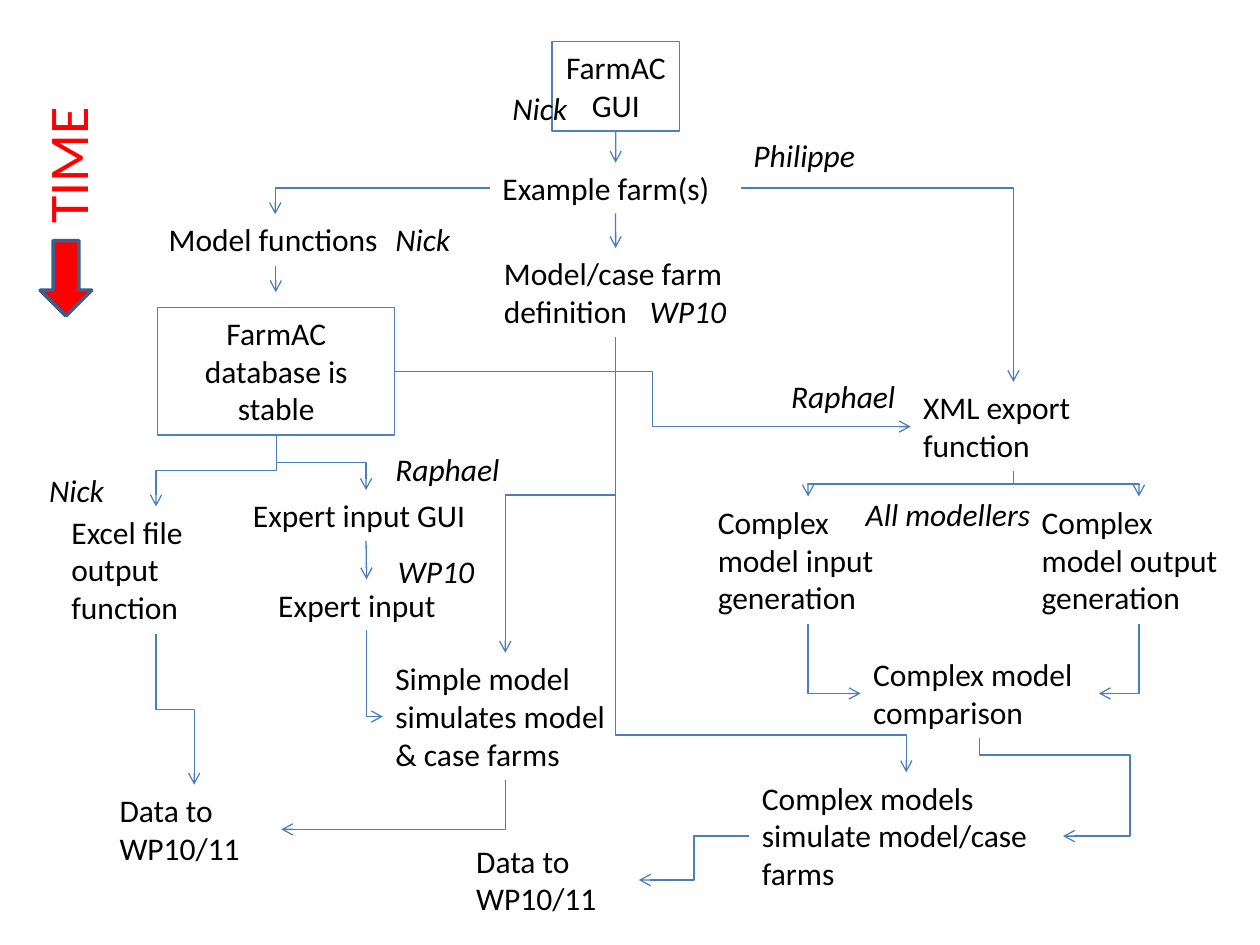
from lxml.etree import SubElement
from pptx import Presentation
from pptx.dml.color import RGBColor
from pptx.enum.shapes import MSO_CONNECTOR, MSO_SHAPE
from pptx.enum.text import MSO_ANCHOR, MSO_AUTO_SIZE, PP_ALIGN
from pptx.oxml.ns import qn
from pptx.util import Cm, Pt

TOP, LEFT, BOTTOM, RIGHT = range(4)  # connection sites of a rectangle
HEIGHTS = {1: 1.02, 2: 1.8, 3: 2.57}  # box height by number of text lines


def color(value):
    return RGBColor.from_string(value)


class FlowChart:
    font_name = "Calibri"
    text_color = "000000"
    box_line = "4F81BD"
    link_line = "4B7EBC"

    def __init__(self, slide):
        self.slide = slide

    def set_text(self, shape, text, wrap=True, align=PP_ALIGN.LEFT, **font_values):
        frame = shape.text_frame
        frame.text = text
        frame_values = {"word_wrap": wrap, "auto_size": MSO_AUTO_SIZE.SHAPE_TO_FIT_TEXT,
                        "vertical_anchor": MSO_ANCHOR.TOP}
        for name, value in frame_values.items():
            setattr(frame, name, value)
        values = {"name": self.font_name, "size": Pt(18), **font_values}
        text_color = values.pop("color", self.text_color)
        for paragraph in frame.paragraphs:
            paragraph.alignment = align
            for run in paragraph.runs:
                run.font.color.rgb = color(text_color)
                for name, value in values.items():
                    setattr(run.font, name, value)

    def text(self, text, left, top, width, height, **values):
        shape = self.slide.shapes.add_textbox(Cm(left), Cm(top), Cm(width), Cm(height))
        self.set_text(shape, text, **values)
        return shape

    def step(self, text, left, top, width, lines=1):
        return self.text(text, left, top, width, HEIGHTS[lines])

    def person(self, text, left, top, width):
        return self.text(text, left, top, width, HEIGHTS[1], wrap=False, italic=True)

    def shape(self, kind, left, top, width, height, line, weight, fill=None):
        shape = self.slide.shapes.add_shape(kind, Cm(left), Cm(top), Cm(width), Cm(height))
        shape.shadow.inherit = False
        shape.line.color.rgb = color(line)
        shape.line.width = Pt(weight)
        if fill:
            shape.fill.solid()
            shape.fill.fore_color.rgb = color(fill)
        else:
            shape.fill.background()
        return shape

    def box(self, text, left, top, width, lines, wrap=True):
        shape = self.shape(MSO_SHAPE.RECTANGLE, left, top, width, HEIGHTS[lines],
                           self.box_line, 0.75)
        self.set_text(shape, text, wrap, PP_ALIGN.CENTER)
        return shape

    def arrow(self, begin=(0, 0), end=(0, 0), kind=MSO_CONNECTOR.STRAIGHT):
        points = [Cm(value) for value in (*begin, *end)]
        connector = self.slide.shapes.add_connector(kind, *points)
        connector.line.color.rgb = color(self.link_line)
        connector.line.width = Pt(0.75)
        SubElement(connector.get_or_add_ln(), qn("a:tailEnd"), type="arrow")
        SubElement(connector._element.spPr, qn("a:effectLst"))
        return connector

    def down(self, source, target):
        connector = self.arrow()
        connector.begin_connect(source, BOTTOM)
        connector.end_connect(target, TOP)

    def bend(self, source, source_site, target, target_site, adjust=()):
        connector = self.arrow(kind=MSO_CONNECTOR.ELBOW)
        connector.begin_connect(source, source_site)
        connector.end_connect(target, target_site)
        across = connector.end_x - connector.begin_x
        along = connector.end_y - connector.begin_y
        middle_x = (connector.begin_x + connector.end_x) // 2
        middle_y = (connector.begin_y + connector.end_y) // 2
        width, height = abs(across), abs(along)
        if source_site == BOTTOM:  # a path that starts downwards is a turned one
            width, height = height, width
            turn, flip = (270, True) if across > 0 else (90, False)
        else:
            turn, flip = 0, across < 0
        geometry = {"left": middle_x - width // 2, "top": middle_y - height // 2,
                    "width": width, "height": height}
        for name, value in geometry.items():
            setattr(connector, name, value)

        properties = connector._element.spPr
        transform = properties.find(qn("a:xfrm"))
        for name, value in {"rot": turn * 60000, "flipH": int(flip), "flipV": 0}.items():
            transform.set(name, str(value))
        # Parallel ends meet halfway unless adjusted; other ends need one corner
        if source_site % 2 == target_site % 2:
            adjust = adjust or (50000,)
        parallel = source_site % 2 == target_site % 2
        segments = 3 if parallel else 2 + len(adjust)
        preset = properties.find(qn("a:prstGeom"))
        preset.set("prst", f"bentConnector{segments}")
        guides = preset.find(qn("a:avLst"))
        for number, value in enumerate(adjust, 1):
            SubElement(guides, qn("a:gd"), name=f"adj{number}", fmla=f"val {value}")


presentation = Presentation()
presentation.slide_width, presentation.slide_height = Cm(25.4), Cm(19.05)
chart = FlowChart(presentation.slides.add_slide(presentation.slide_layouts[6]))

# Boxes and steps
database = chart.box("FarmAC database is stable", 3.18, 6.2, 4.78, 3)
farm_gui = chart.box("FarmAC\nGUI", 11.13, 0.84, 2.57, 2, wrap=False)
functions = chart.step("Model functions", 3.15, 4.32, 4.8)
definition = chart.step("Model/case farm definition", 9.91, 5, 5, 2)
example = chart.step("Example farm(s)", 9.88, 3.28, 5.06)
expert_gui = chart.step("Expert input GUI", 4.85, 9.88, 5.06)
expert_input = chart.step("Expert input", 5.36, 11.68, 4.06)
xml_export = chart.step("XML export\nfunction", 18.36, 7.7, 4.14, 2)
model_input = chart.step("Complex model input\ngeneration", 14.22, 10.01, 4.14, 3)
model_output = chart.step("Complex\nmodel output generation", 20.75, 10.01, 4.42, 3)
comparison = chart.step("Complex model comparison", 17.35, 13.08, 4.8, 2)
complex_runs = chart.step("Complex models simulate model/case farms", 15.11, 15.57, 6.32, 3)
simple_runs = chart.step("Simple model simulates model\n& case farms", 7.72, 13.16, 4.93, 3)
excel = chart.step("Excel file output function", 1.19, 10.21, 3.91, 3)
simple_data = chart.step("Data to WP10/11", 2.16, 15.82, 3.51, 2)
complex_data = chart.step("Data to WP10/11", 9.35, 16.84, 3.53, 2)

# Straight arrows
for source, target in [(farm_gui, example), (example, definition), (expert_gui, expert_input)]:
    chart.down(source, target)
chart.arrow((5.56, 5.36), (5.56, 5.89))

# Bent arrows
for link in [
    (example, LEFT, functions, TOP),
    (example, RIGHT, xml_export, TOP),
    (database, BOTTOM, expert_gui, TOP),
    (database, BOTTOM, excel, TOP),
    (database, RIGHT, xml_export, LEFT),
    (excel, BOTTOM, simple_data, TOP),
    (expert_input, BOTTOM, simple_runs, LEFT),
    (definition, BOTTOM, simple_runs, TOP),
    (definition, BOTTOM, complex_runs, TOP, (91400,)),
    (simple_runs, BOTTOM, simple_data, RIGHT),
    (xml_export, BOTTOM, model_input, TOP),
    (xml_export, BOTTOM, model_output, TOP),
    (model_input, BOTTOM, comparison, LEFT),
    (model_output, BOTTOM, comparison, RIGHT),
    (comparison, BOTTOM, complex_runs, RIGHT, (17300, 180500)),
    (complex_runs, LEFT, complex_data, RIGHT),
]:
    chart.bend(*link)

# People in charge
for label in [
    ("Nick", 10.08, 1.68, 1.63),
    ("Philippe", 14.94, 2.62, 2.62),
    ("Nick", 7.72, 4.32, 1.63),
    ("WP10", 12.85, 5.77, 2.06),
    ("Raphael", 15.7, 7.47, 2.62),
    ("Raphael", 7.72, 8.94, 2.62),
    ("Nick", 0.74, 9.37, 1.63),
    ("All modellers", 17.2, 9.86, 3.91),
    ("WP10", 7.77, 11, 2.06),
]:
    chart.person(*label)

# Time axis
time_label = chart.text("TIME", -0.1, 2.49, 2.9, 1.63, wrap=False, size=Pt(32), color="FF0000")
time_label.rotation = 270
chart.shape(MSO_SHAPE.DOWN_ARROW, 0.81, 4.85, 1.04, 1.52, "3A5F8C", 2, fill="FF0000")

presentation.save("out.pptx")
